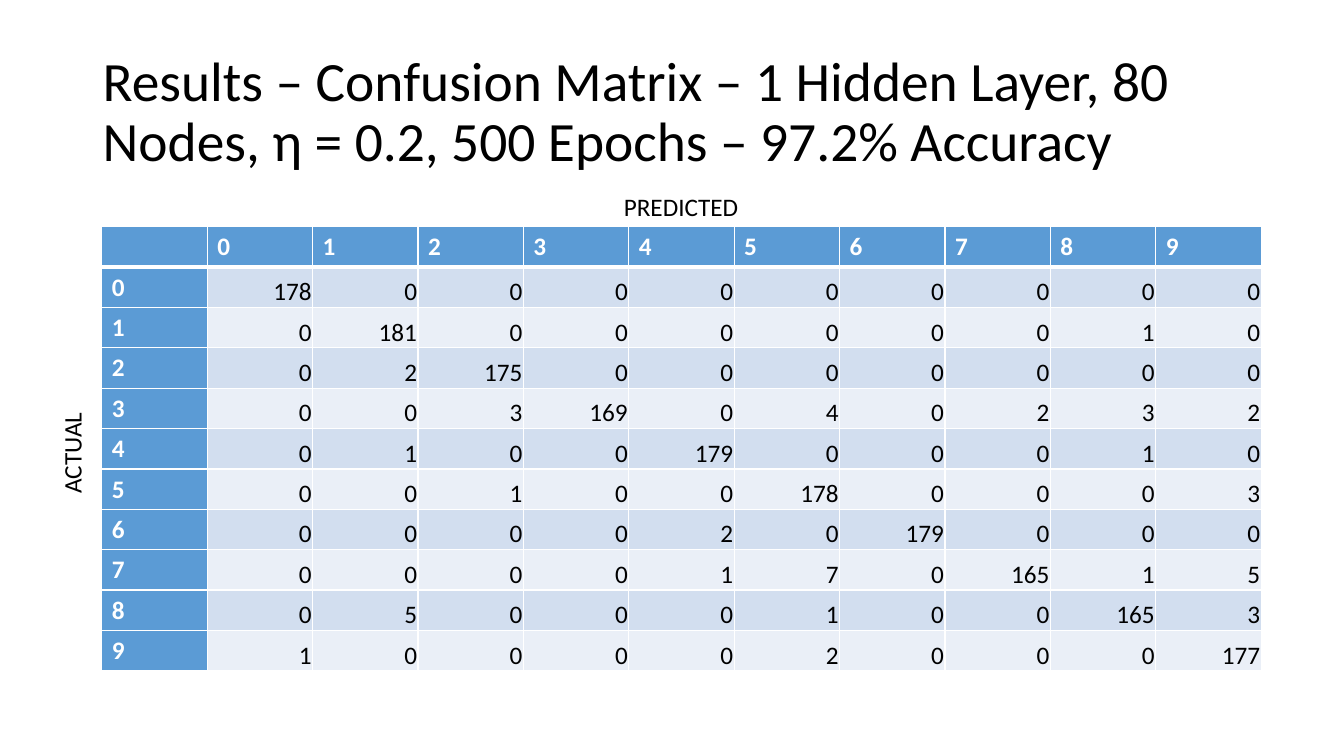
"""Build the confusion matrix slide for a digit classifier with one hidden layer."""
from dataclasses import dataclass

from lxml import etree
from pptx import Presentation
from pptx.dml.color import RGBColor
from pptx.enum.text import MSO_ANCHOR, PP_ALIGN
from pptx.oxml.ns import qn
from pptx.util import Inches, Pt

LEFT, CENTER, RIGHT = PP_ALIGN.LEFT, PP_ALIGN.CENTER, PP_ALIGN.RIGHT
TOP, MIDDLE, BOTTOM = MSO_ANCHOR.TOP, MSO_ANCHOR.MIDDLE, MSO_ANCHOR.BOTTOM


@dataclass(frozen=True)
class Theme:
    font: str = "Calibri"
    title_size: float = 39.6
    body_size: float = 18
    ink: str = "000000"
    paper: str = "FFFFFF"
    header: str = "5B9BD5"
    bands: tuple = ("D2DEEF", "EAEFF7")
    grid_line: float = 1
    header_line: float = 3


THEME = Theme()
COUNTS = [
    [178, 0, 0, 0, 0, 0, 0, 0, 0, 0],
    [0, 181, 0, 0, 0, 0, 0, 0, 1, 0],
    [0, 2, 175, 0, 0, 0, 0, 0, 0, 0],
    [0, 0, 3, 169, 0, 4, 0, 2, 3, 2],
    [0, 1, 0, 0, 179, 0, 0, 0, 1, 0],
    [0, 0, 1, 0, 0, 178, 0, 0, 0, 3],
    [0, 0, 0, 0, 2, 0, 179, 0, 0, 0],
    [0, 0, 0, 0, 1, 7, 0, 165, 1, 5],
    [0, 5, 0, 0, 0, 1, 0, 0, 165, 3],
    [1, 0, 0, 0, 0, 2, 0, 0, 0, 177],
]
DIGITS = range(len(COUNTS))
SIDE = len(COUNTS) + 1


def write(frame, text, size, color, align, bold=False):
    paragraph = frame.paragraphs[0]
    paragraph.alignment = align
    run = paragraph.add_run()
    run.text = text
    run.font.name = THEME.font
    run.font.size = Pt(size)
    run.font.bold = bold
    run.font.color.rgb = RGBColor.from_string(color)
    return paragraph


def draw_borders(cell, widths):
    properties = cell._tc.get_or_add_tcPr()
    for place, (edge, width) in enumerate(widths.items()):
        line = etree.Element(qn(f"a:ln{edge}"), w=str(Pt(width)))
        fill = etree.SubElement(line, qn("a:solidFill"))
        etree.SubElement(fill, qn("a:srgbClr"), val=THEME.paper)
        properties.insert(place, line)


deck = Presentation()
deck.slide_width, deck.slide_height = Inches(13.33), Inches(7.5)
slide = deck.slides.add_slide(deck.slide_layouts[6])

matrix_left, matrix_top = Inches(1.01), Inches(2.25)
column, row = Inches(11.5) // SIDE, Inches(4.4) // SIDE

title = slide.shapes.add_textbox(Inches(0.92), Inches(0.4), column * SIDE, Inches(1.45)).text_frame
title.word_wrap = True
title.vertical_anchor = MIDDLE
heading = write(
    title,
    "Results – Confusion Matrix – 1 Hidden Layer, 80 Nodes, η = 0.2, 500 Epochs – 97.2% Accuracy",
    THEME.title_size, THEME.ink, LEFT,
)
heading.line_spacing = 0.9

matrix = slide.shapes.add_table(
    SIDE, SIDE, matrix_left, matrix_top, column * SIDE, row * SIDE
).table
for line in range(SIDE):
    matrix.columns[line].width = column
    matrix.rows[line].height = row

labels = ["", *map(str, DIGITS)]
rows = [labels] + [[str(digit), *map(str, COUNTS[digit])] for digit in DIGITS]
for actual, values in enumerate(rows):
    for predicted, value in enumerate(values):
        cell = matrix.cell(actual, predicted)
        is_header = actual == 0 or predicted == 0
        cell.fill.solid()
        cell.fill.fore_color.rgb = RGBColor.from_string(
            THEME.header if is_header else THEME.bands[(actual - 1) % 2]
        )
        draw_borders(cell, {
            "L": THEME.grid_line,
            "R": THEME.grid_line,
            "T": THEME.header_line if actual == 1 else THEME.grid_line,
            "B": THEME.header_line if actual == 0 else THEME.grid_line,
        })
        if is_header:
            cell.vertical_anchor = TOP
        else:
            cell.vertical_anchor = BOTTOM
            cell.margin_left = cell.margin_top = cell.margin_right = Inches(0.01)
            cell.margin_bottom = 0
        if value:
            write(cell.text_frame, value, THEME.body_size,
                  THEME.paper if is_header else THEME.ink,
                  LEFT if is_header else RIGHT, bold=is_header)

for axis, direction, left, top, width, height in (
    ("PREDICTED", "horz", Inches(1.1), Inches(1.85), Inches(11.31), row),
    ("ACTUAL", "vert270", Inches(0.51), Inches(2.34), Inches(0.5), Inches(4.31)),
):
    axis_frame = slide.shapes.add_textbox(left, top, width, height).text_frame
    axis_frame.word_wrap = True
    axis_frame._txBody.bodyPr.set("vert", direction)
    write(axis_frame, axis, THEME.body_size, THEME.ink, CENTER)

deck.save("out.pptx")
